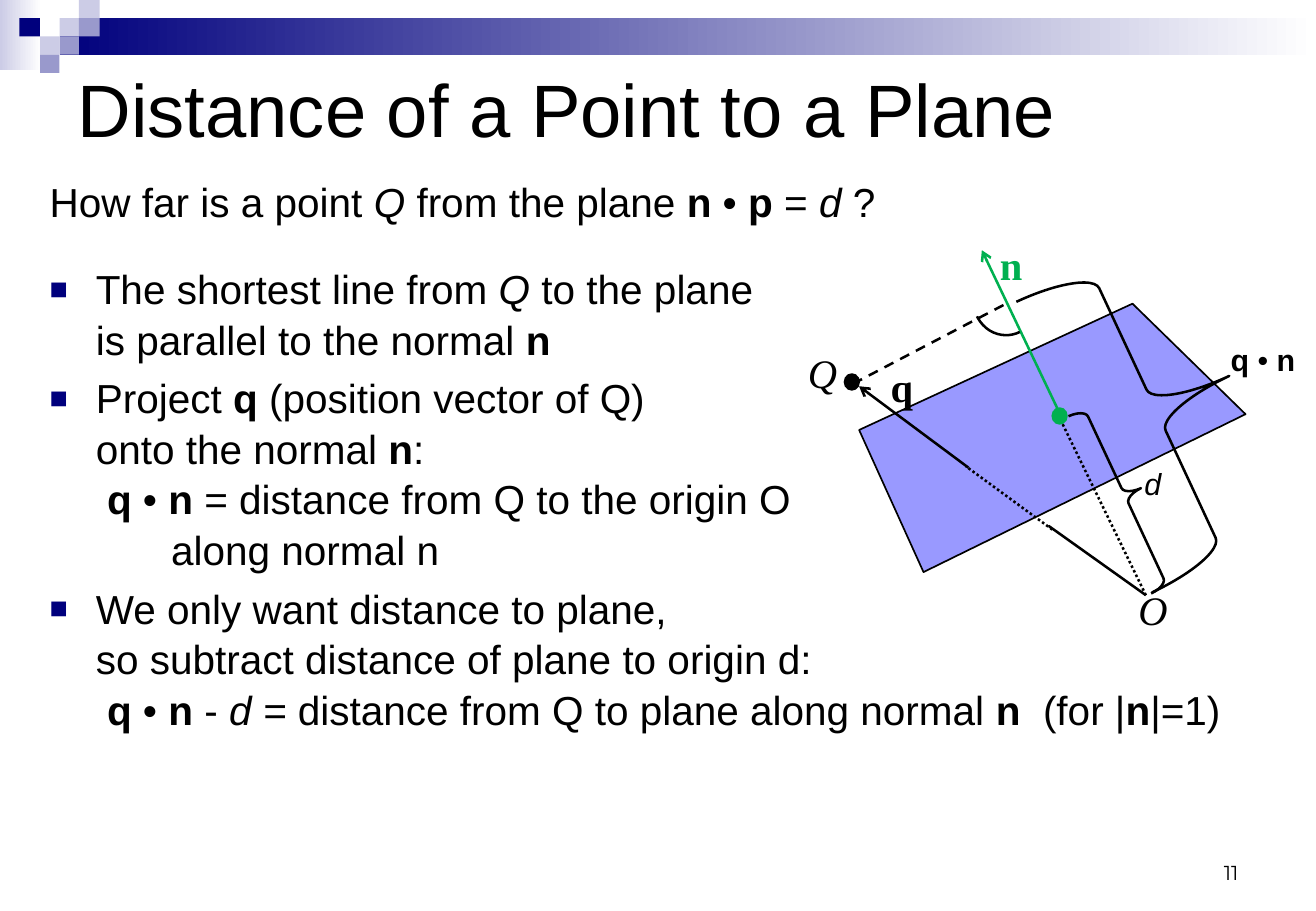
from dataclasses import dataclass
from typing import NamedTuple, Optional

from lxml.etree import SubElement
from pptx import Presentation
from pptx.dml.color import RGBColor
from pptx.enum.dml import MSO_LINE
from pptx.enum.shapes import MSO_CONNECTOR, MSO_SHAPE
from pptx.enum.text import MSO_ANCHOR, PP_ALIGN
from pptx.oxml.ns import qn
from pptx.util import Inches, Pt

COLORS = {
    "black": "000000",
    "white": "FFFFFF",
    "navy": "00007D",
    "lavender": "CCCCE6",
    "violet": "9999CC",
    "plane": "9999FF",
    "green": "00B050",
}
COLUMN_EDGES = (0, 0.16, 0.33, 0.49, 0.65, 0.82)
ROW_HEIGHT = 0.15
BODY_INDENT = 0.38
BRACE_ROTATION = -25


class Run(NamedTuple):
    text: str
    bold: bool = False
    italic: bool = False


class Square(NamedTuple):
    column: int
    row: int
    color: str


class Gradient(NamedTuple):
    left: float
    top: float
    width: float
    height: float
    color: str


class Segment(NamedTuple):
    start: tuple[float, float]
    end: tuple[float, float]
    color: str = "black"
    dash: Optional[MSO_LINE] = None
    arrow: bool = False


class Outline(NamedTuple):
    kind: MSO_SHAPE
    box: tuple[float, float, float, float]
    adjustments: tuple[float, float]
    rotation: float = 0


class Dot(NamedTuple):
    left: float
    top: float
    color: str


@dataclass
class TextBlock:
    box: tuple[float, float, float, float]
    runs: list[Run]
    size: float
    font: str = "Arial"
    color: str = "black"
    wrap: bool = False
    anchor: MSO_ANCHOR = MSO_ANCHOR.TOP
    align: PP_ALIGN = PP_ALIGN.LEFT


@dataclass
class BodyParagraph:
    runs: list[Run]
    size: float = 24
    bullet: bool = True


DOT_PRODUCT = [Run("q ", bold=True), Run("•"), Run(" n", bold=True)]
GRADIENTS = [Gradient(0, 0, 0.34, 0.58, "lavender"), Gradient(0.49, 0.15, 10.34, 0.3, "navy")]
SQUARES = [
    Square(3, 1, "lavender"), Square(4, 0, "lavender"), Square(4, 1, "violet"),
    Square(2, 2, "lavender"), Square(1, 1, "navy"), Square(3, 2, "violet"), Square(2, 3, "violet"),
]
PLANE_CORNERS = [(7.6, 4.71), (10.25, 3.41), (9.32, 2.5), (7.07, 3.54)]
SEGMENTS = [
    Segment((8.71, 3.38), (8.08, 2.06), "green", arrow=True),
    Segment((9.43, 4.9), (8.71, 3.42), dash=MSO_LINE.ROUND_DOT),
    Segment((9.43, 4.9), (8.63, 4.33)),
    Segment((8.66, 4.36), (7.95, 3.84), dash=MSO_LINE.ROUND_DOT),
    Segment((7.97, 3.85), (7.07, 3.18), arrow=True),
    Segment((7.02, 3.16), (8.28, 2.5), dash=MSO_LINE.DASH),
]
DOTS = [Dot(8.66, 3.36, "green"), Dot(6.95, 3.08, "black")]
OUTLINES = [
    Outline(MSO_SHAPE.ARC, (8.01, 2.18, 0.54, 0.58), (40.09, 90.37)),
    Outline(MSO_SHAPE.RIGHT_BRACE, (8.86, 2.08, 1.33, 2.64), (0.14, 0.49), BRACE_ROTATION),
    Outline(MSO_SHAPE.RIGHT_BRACE, (9.12, 3.29, 0.29, 1.61), (0.24, 0.49), BRACE_ROTATION),
]
TEXT_BLOCKS = [
    TextBlock((0.54, 0.5, 9.75, 0.78), [Run("Distance of a Point to a Plane")], 44,
              wrap=True, anchor=MSO_ANCHOR.MIDDLE),
    TextBlock((7.76, 6.83, 2.53, 0.5), [Run("11")], 12, "Montserrat",
              wrap=True, anchor=MSO_ANCHOR.BOTTOM, align=PP_ALIGN.RIGHT),
    TextBlock((8.13, 1.93, 0.39, 0.5), [Run("n", bold=True)], 24, "Times New Roman", "green"),
    TextBlock((7.23, 2.93, 0.38, 0.5), [Run("q", bold=True)], 24, "Times New Roman"),
    TextBlock((9.27, 4.77, 0.44, 0.5), [Run("O", italic=True)], 24, "Times New Roman"),
    TextBlock((6.55, 2.82, 0.44, 0.5), [Run("Q", italic=True)], 24, "Times New Roman"),
    TextBlock((10.03, 2.76, 0.74, 0.4), DOT_PRODUCT, 18),
    TextBlock((9.32, 3.78, 0.34, 0.4), [Run("d", italic=True)], 18),
]
BODY = [
    BodyParagraph([Run("How far is a point "), Run("Q", italic=True), Run(" from the plane "),
                   Run("n ", bold=True), Run("•"), Run(" p", bold=True), Run(" = "),
                   Run("d", italic=True), Run(" ?")], bullet=False),
    BodyParagraph([Run("The shortest line from "), Run("Q", italic=True),
                   Run(" to the plane\nis parallel to the normal "), Run("n", bold=True)]),
    BodyParagraph([Run("Project "), Run("q", bold=True),
                   Run(" (position vector of Q)\nonto the normal "), Run("n", bold=True),
                   Run(":\n "), *DOT_PRODUCT,
                   Run(" = distance from Q to the origin O\n\t\talong normal n")]),
    BodyParagraph([Run("We only want distance to plane,\nso subtract distance of plane to origin d:\n "),
                   *DOT_PRODUCT, Run(" - "), Run("d = ", italic=True),
                   Run("distance from Q to plane along normal "), Run("n  ", bold=True),
                   Run("(for |"), Run("n", bold=True), Run("|=1)")]),
]


def rgb(name: str) -> RGBColor:
    return RGBColor.from_string(COLORS[name])


def add_shape(slide, kind: MSO_SHAPE, box: tuple, fill: Optional[str] = None,
              line: Optional[str] = None, weight: float = 1):
    shape = slide.shapes.add_shape(kind, *map(Inches, box))
    style_shape(shape, fill, line, weight)
    return shape


def style_shape(shape, fill: Optional[str], line: Optional[str], weight: float) -> None:
    shape.shadow.inherit = False
    if fill:
        shape.fill.solid()
        shape.fill.fore_color.rgb = rgb(fill)
    else:
        shape.fill.background()
    if line:
        shape.line.color.rgb = rgb(line)
        shape.line.width = Pt(weight)
    else:
        shape.line.fill.background()


def add_gradient(slide, gradient: Gradient) -> None:
    shape = add_shape(slide, MSO_SHAPE.RECTANGLE, gradient[:4])
    shape.fill.gradient()
    shape.fill.gradient_angle = 0
    for stop, position, color in zip(shape.fill.gradient_stops, (0, 1), (gradient.color, "white")):
        stop.position = position
        stop.color.rgb = rgb(color)


def add_square(slide, square: Square) -> None:
    left, right = COLUMN_EDGES[square.column:square.column + 2]
    add_shape(slide, MSO_SHAPE.RECTANGLE,
              (left, square.row * ROW_HEIGHT, right - left, ROW_HEIGHT), square.color)


def add_plane(slide) -> None:
    corners = [(Inches(x), Inches(y)) for x, y in PLANE_CORNERS]
    builder = slide.shapes.build_freeform(*corners[0])
    builder.add_line_segments(corners[1:], close=True)
    style_shape(builder.convert_to_shape(), "plane", "black", 1)


def add_segment(slide, segment: Segment) -> None:
    connector = slide.shapes.add_connector(
        MSO_CONNECTOR.STRAIGHT, *map(Inches, segment.start + segment.end))
    connector.line.color.rgb = rgb(segment.color)
    connector.line.width = Pt(1.5)
    if segment.dash:
        connector.line.dash_style = segment.dash
    if segment.arrow:
        SubElement(connector.line._get_or_add_ln(), qn("a:tailEnd"), type="arrow")
    SubElement(connector._element.spPr, qn("a:effectLst"))


def add_outline(slide, outline: Outline) -> None:
    shape = add_shape(slide, outline.kind, outline.box, line="black", weight=1.5)
    shape.rotation = outline.rotation
    for index, value in enumerate(outline.adjustments):
        shape.adjustments[index] = value


def add_runs(paragraph, runs: list[Run], size: float, font: str, color: str) -> None:
    for item in runs:
        for index, text in enumerate(item.text.split("\n")):
            if index:
                paragraph.add_line_break()
            if text:
                run = paragraph.add_run()
                run.text = text
                run.font.name, run.font.size = font, Pt(size)
                run.font.bold, run.font.italic = item.bold, item.italic
                run.font.color.rgb = rgb(color)


def add_text(slide, block: TextBlock) -> None:
    frame = slide.shapes.add_textbox(*map(Inches, block.box)).text_frame
    frame.word_wrap, frame.vertical_anchor = block.wrap, block.anchor
    frame.paragraphs[0].alignment = block.align
    add_runs(frame.paragraphs[0], block.runs, block.size, block.font, block.color)


def add_body(slide) -> None:
    frame = slide.shapes.add_textbox(*map(Inches, (0.31, 1.39, 10.21, 5.62))).text_frame
    frame.word_wrap = True
    for index, item in enumerate(BODY):
        paragraph = frame.add_paragraph() if index else frame.paragraphs[0]
        paragraph.line_spacing = 1.04
        paragraph.space_before = Pt(22 if index == 1 else 4.8)
        properties = paragraph._p.get_or_add_pPr()
        properties.set("marL", str(Inches(BODY_INDENT)))
        properties.set("indent", str(-Inches(BODY_INDENT)))
        if item.bullet:
            color = SubElement(properties, qn("a:buClr"))
            SubElement(color, qn("a:srgbClr"), val=COLORS["navy"])
            SubElement(properties, qn("a:buSzPct"), val="75000")
            SubElement(properties, qn("a:buFont"), typeface="Arial")
            SubElement(properties, qn("a:buChar"), char="■")
        add_runs(paragraph, item.runs, item.size, "Arial", "black")


def main() -> None:
    presentation = Presentation()
    presentation.slide_width, presentation.slide_height = Inches(10.83), Inches(7.5)
    slide = presentation.slides.add_slide(presentation.slide_layouts[6])
    for gradient in GRADIENTS:
        add_gradient(slide, gradient)
    for square in SQUARES:
        add_square(slide, square)
    add_body(slide)
    add_plane(slide)
    for segment in SEGMENTS:
        add_segment(slide, segment)
    for dot in DOTS:
        add_shape(slide, MSO_SHAPE.OVAL, (dot.left, dot.top, 0.12, 0.13), dot.color, dot.color)
    for outline in OUTLINES:
        add_outline(slide, outline)
    for block in TEXT_BLOCKS:
        add_text(slide, block)
    presentation.save("out.pptx")


if __name__ == "__main__":
    main()
